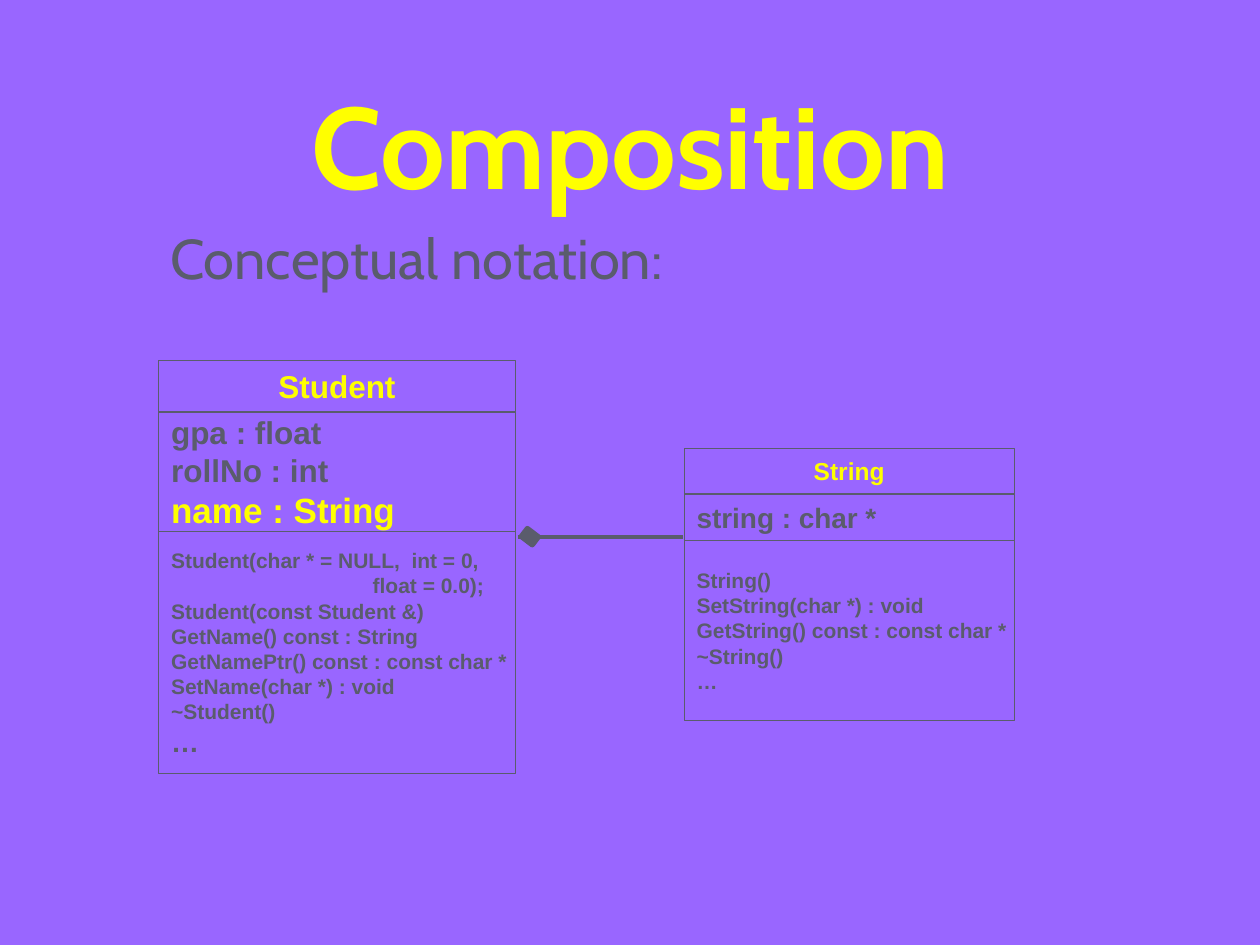
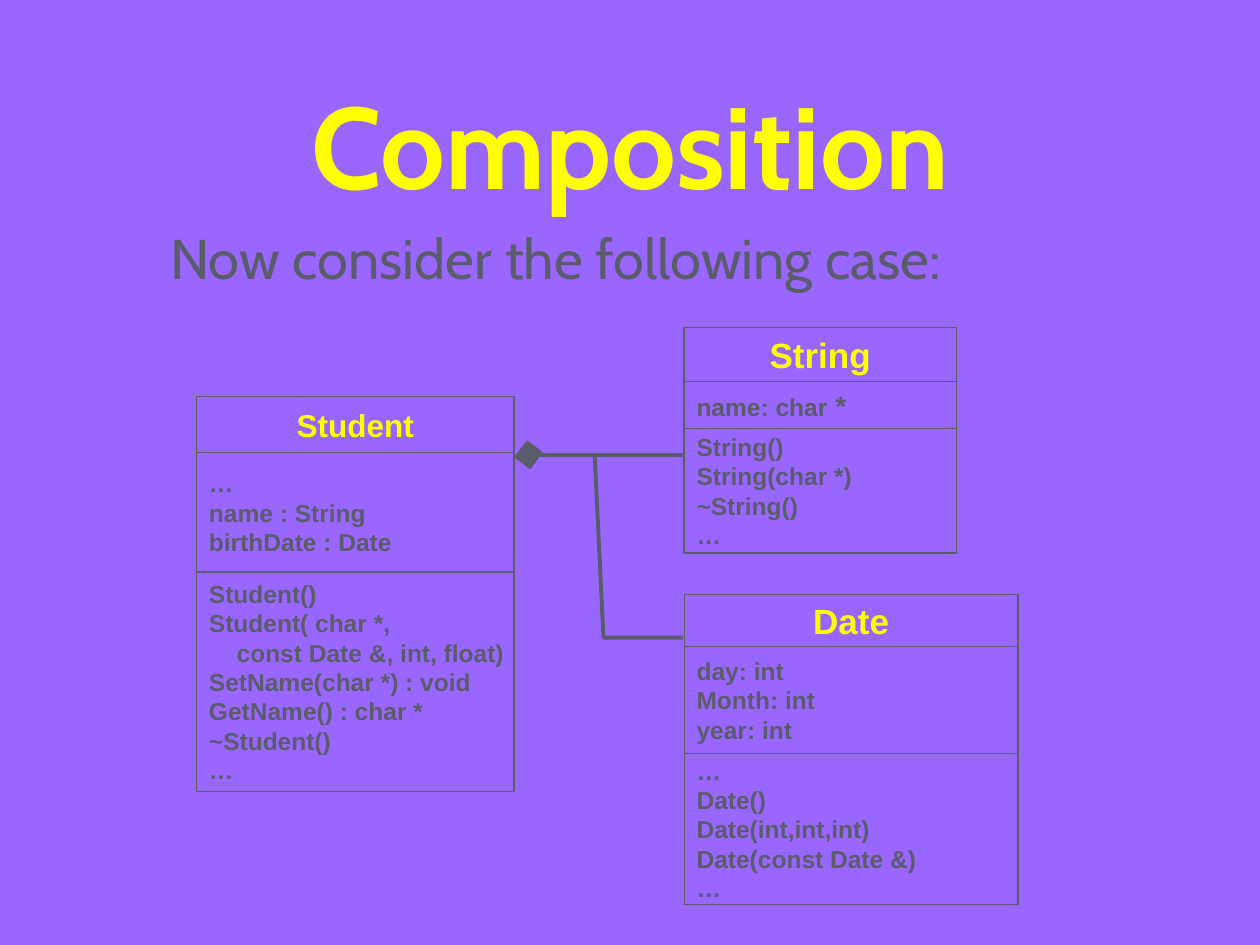
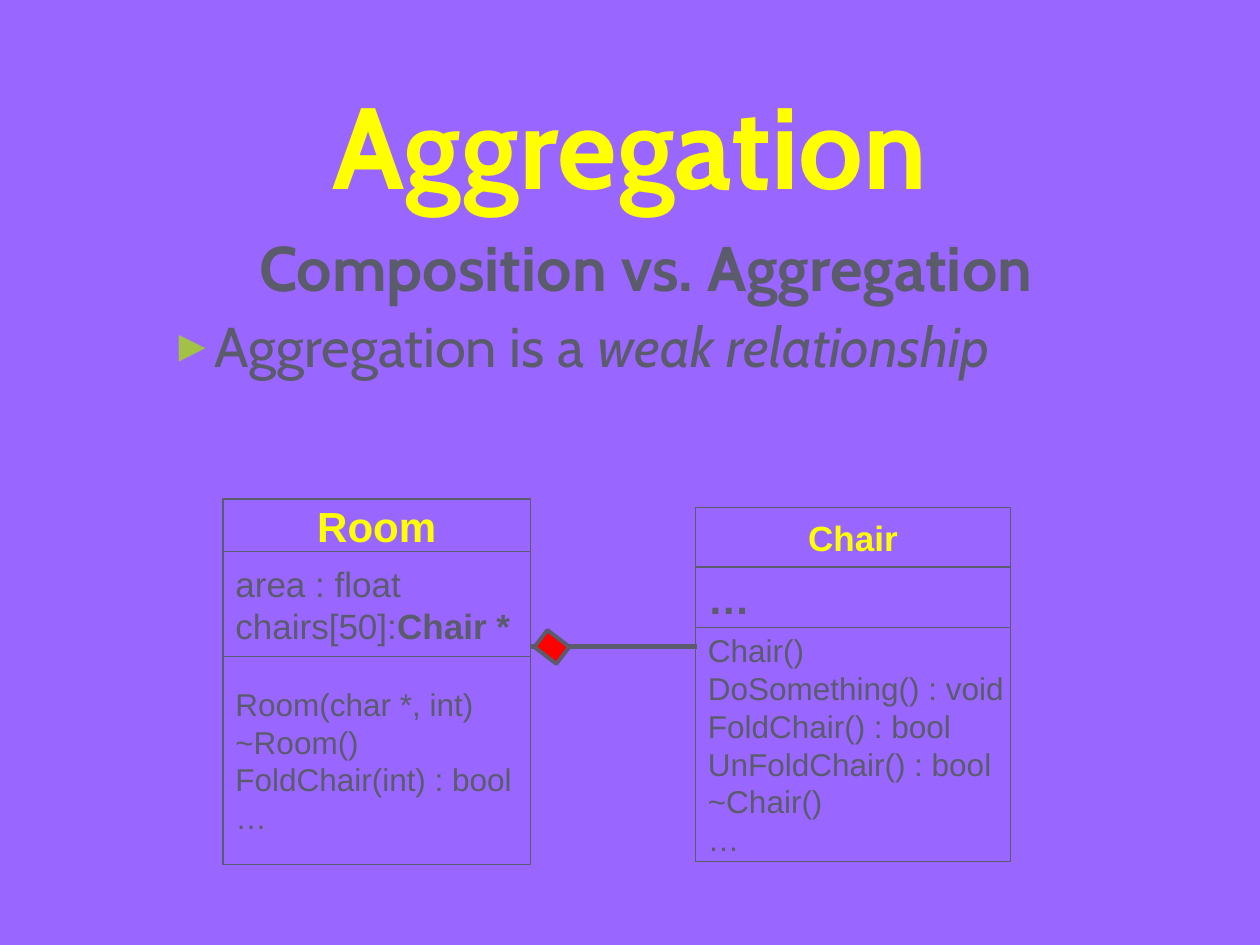
"""Build three slides of class diagrams on composition and aggregation."""
from lxml import etree
from pptx import Presentation
from pptx.dml.color import RGBColor
from pptx.enum.shapes import MSO_CONNECTOR, MSO_SHAPE
from pptx.enum.text import MSO_ANCHOR, MSO_AUTO_SIZE, PP_ALIGN
from pptx.oxml.ns import qn
from pptx.util import Inches, Pt

RECTANGLE = MSO_SHAPE.RECTANGLE
STRAIGHT = MSO_CONNECTOR.STRAIGHT
LEFT, CENTER = PP_ALIGN.LEFT, PP_ALIGN.CENTER
MIDDLE = MSO_ANCHOR.MIDDLE
NO_AUTOFIT = MSO_AUTO_SIZE.NONE

PURPLE, YELLOW, GRAY, RED, GREEN = "9966FF", "FFFF00", "5A5C6C", "FF0000", "A3C145"
HEADING_FONT, DIAGRAM_FONT = "Cabin", "Arial"
TITLE_BOX = (0.75, 0.33, 8.5, 1.61)
BODY_LEFT, BODY_TOP, BODY_WIDTH = 1.25, 1.83, 7.75
BULLET_INDENT = 0.34
DIAMOND_ANGLE = 37.3

TITLE_STYLE = {"name": HEADING_FONT, "size": 66, "bold": True, "color": YELLOW}
BODY_STYLE = {"name": HEADING_FONT, "size": 32, "bold": False, "color": GRAY}
CLASS_STYLE = {"name": DIAGRAM_FONT, "bold": True, "color": GRAY}

# A line is a string or a list of (text, changed style); a class lists its
# name, attributes and methods as (height, style, lines).
SLIDES = [
    {
        "title": "Composition",
        "body": {"height": 4.58, "spacing": 0.8, "lines": ["Conceptual notation:"]},
        "classes": [
            {"corner": (1.26, 2.86), "width": 2.83, "parts": [
                (0.41, {"size": 18}, ["Student"]),
                (0.95, {"size": 18}, [
                    "gpa : float", "rollNo : int",
                    [("name : String", {"size": 20, "color": YELLOW})]]),
                (1.92, {"size": 12}, [
                    "Student(char * = NULL,  int = 0,", "float = 0.0);",
                    "Student(const Student &)", "GetName() const : String",
                    "GetNamePtr() const : const char *", "SetName(char *) : void",
                    "~Student()", [("…", {"size": 16})]]),
            ], "indents": {"float = 0.0);": 1.6}},
            {"corner": (5.43, 3.56), "width": 2.62, "parts": [
                (0.36, {"size": 14}, ["String"]),
                (0.37, {"size": 16}, ["string : char *"]),
                (1.43, {"size": 12}, [
                    "String()", "SetString(char *) : void",
                    "GetString() const : const char *", "~String()", "…"]),
            ]},
        ],
        "link": {"start": 4.11, "end": 5.42, "y": 4.26, "weight": 2.25},
        "diamond": {"box": (4.15, 4.22, 0.11, 0.08), "fill": GRAY, "weight": 3},
    },
    {
        "title": "Composition",
        "body": {"height": 4.58, "spacing": 0.8,
                 "lines": ["Now consider the following case:"]},
        "classes": [
            {"corner": (5.43, 2.6), "width": 2.16, "parts": [
                (0.43, {"size": 20}, ["String"]),
                (0.37, {"size": 14}, [[("name: char", {}), (" *", {"size": 16})]]),
                (0.99, {"size": 14}, ["String()", "String(char *)", "~String()", "…"]),
            ]},
            {"corner": (1.56, 3.15), "width": 2.52, "parts": [
                (0.44, {"size": 18}, ["Student"]),
                (0.95, {"size": 14}, ["…", "name : String", "birthDate : Date"]),
                (1.74, {"size": 14}, [
                    "Student()", "Student( char *,", "const Date &, int, float)",
                    "SetName(char *) : void", "GetName() : char *", "~Student()", "…"]),
            ], "indents": {"const Date &, int, float)": 0.22}},
            {"corner": (5.43, 4.72), "width": 2.65, "parts": [
                (0.41, {"size": 20}, ["Date"]),
                (0.85, {"size": 14}, ["day: int", "Month: int", "year: int"]),
                (1.2, {"size": 14}, [
                    "…", "Date()", "Date(int,int,int)", "Date(const Date &)", "…"]),
            ]},
        ],
        "link": {"start": 4.11, "end": 5.42, "y": 3.61, "weight": 2.25},
        "branch": [(4.72, 3.62), (4.79, 5.06), (5.42, 5.06)],
        "diamond": {"box": (4.12, 3.53, 0.15, 0.16), "fill": GRAY, "weight": 0.75},
    },
    {
        "title": "Aggregation",
        "body": {"height": 5.39, "spacing": 0.9, "lines": [
            [("Composition vs. Aggregation", {"size": 36, "bold": True})],
            [("Aggregation is a ", {}), ("weak relationship", {"italic": True})]],
            "heading": True},
        "classes": [
            {"corner": (1.77, 3.96), "width": 2.44, "parts": [
                (0.42, {"size": 24}, ["Room"]),
                (0.83, {"size": 20, "bold": False}, [
                    "area : float", [("chairs[50]:", {}), ("Chair *", {"bold": True})]]),
                (1.65, {"size": 18, "bold": False}, [
                    "Room(char *, int)", "~Room()", "FoldChair(int) : bool", "…"]),
            ]},
            {"corner": (5.52, 4.03), "width": 2.5, "parts": [
                (0.47, {"size": 20}, ["Chair"]),
                (0.48, {"size": 24}, ["…"]),
                (1.86, {"size": 18, "bold": False}, [
                    "Chair()", "DoSomething() : void", "FoldChair() : bool",
                    "UnFoldChair() : bool", "~Chair()", "…"]),
            ]},
        ],
        "link": {"start": 4.21, "end": 5.53, "y": 5.13, "weight": 3},
        "diamond": {"box": (4.27, 5.05, 0.22, 0.17), "fill": RED, "weight": 2.25},
    },
]


def color(value):
    return RGBColor.from_string(value)


def set_line(shape, weight):
    shape.line.color.rgb = color(GRAY)
    shape.line.width = Pt(weight)


def place(shape, left, top, width, height):
    shape.left, shape.top = Inches(left), Inches(top)
    shape.width, shape.height = Inches(width), Inches(height)


def write_lines(text_frame, lines, style, alignment):
    for index, line in enumerate(lines):
        paragraph = text_frame.paragraphs[0] if index == 0 else text_frame.add_paragraph()
        paragraph.alignment = alignment
        paragraph.space_before = Pt(0)
        for text, changes in [(line, {})] if isinstance(line, str) else line:
            run = paragraph.add_run()
            run.text = text
            look = {**style, **changes}
            run.font.name = look["name"]
            run.font.size = Pt(look["size"])
            run.font.bold = look["bold"]
            run.font.italic = look.get("italic", False)
            run.font.color.rgb = color(look["color"])


def set_indent(paragraph, left, first=0.0):
    properties = paragraph._p.get_or_add_pPr()
    properties.set("marL", str(Inches(left)))
    properties.set("indent", str(Inches(first)))
    return properties


def add_bullet(paragraph):
    properties = set_indent(paragraph, BULLET_INDENT, -BULLET_INDENT)
    bullet_color = etree.SubElement(properties, qn("a:buClr"))
    etree.SubElement(bullet_color, qn("a:srgbClr"), val=GREEN)
    etree.SubElement(properties, qn("a:buSzPct"), val="80000")
    etree.SubElement(properties, qn("a:buFont"), typeface=DIAGRAM_FONT)
    etree.SubElement(properties, qn("a:buChar"), char="►")


def add_title(slide, text):
    title = slide.shapes.title
    place(title, *TITLE_BOX)
    title.text_frame.auto_size = NO_AUTOFIT
    title.text_frame.vertical_anchor = MIDDLE
    write_lines(title.text_frame, [text], TITLE_STYLE, CENTER)


def add_body(slide, body):
    placeholder = slide.placeholders[1]
    place(placeholder, BODY_LEFT, BODY_TOP, BODY_WIDTH, body["height"])
    text_frame = placeholder.text_frame
    text_frame.auto_size = NO_AUTOFIT
    write_lines(text_frame, body["lines"], BODY_STYLE, LEFT)
    for paragraph in text_frame.paragraphs:
        paragraph.line_spacing = body["spacing"]
    if body.get("heading"):
        text_frame.paragraphs[0].alignment = CENTER
        for paragraph in text_frame.paragraphs[1:]:
            paragraph.space_before = Pt(8)
            add_bullet(paragraph)


def add_rectangle(slide, box, weight):
    rectangle = slide.shapes.add_shape(RECTANGLE, *map(Inches, box))
    rectangle.shadow.inherit = False
    rectangle.fill.background()
    set_line(rectangle, weight)
    return rectangle


def add_class(slide, diagram):
    left, top = diagram["corner"]
    indents = diagram.get("indents", {})
    for index, (height, style, lines) in enumerate(diagram["parts"]):
        part = add_rectangle(slide, (left, top, diagram["width"], height), 0.75)
        text_frame = part.text_frame
        text_frame.word_wrap = False
        text_frame.vertical_anchor = MIDDLE
        is_name = index == 0
        look = {**CLASS_STYLE, **style, "color": YELLOW if is_name else GRAY}
        write_lines(text_frame, lines, look, CENTER if is_name else LEFT)
        for paragraph in text_frame.paragraphs:
            if paragraph.text in indents:
                set_indent(paragraph, indents[paragraph.text])
        top += height


def add_link(slide, link):
    y = Inches(link["y"])
    connector = slide.shapes.add_connector(
        STRAIGHT, Inches(link["start"]), y, Inches(link["end"]), y)
    set_line(connector, link["weight"])
    etree.SubElement(connector._element.spPr, qn("a:effectLst"))


def add_branch(slide, points, weight):
    start, *others = [(Inches(x), Inches(y)) for x, y in points]
    builder = slide.shapes.build_freeform(*start)
    builder.add_line_segments(others, close=False)
    branch = builder.convert_to_shape()
    branch.shadow.inherit = False
    branch.fill.background()
    set_line(branch, weight)


def add_diamond(slide, diamond):
    shape = add_rectangle(slide, diamond["box"], diamond["weight"])
    shape.rotation = DIAMOND_ANGLE
    shape.fill.solid()
    shape.fill.fore_color.rgb = color(diamond["fill"])


def main():
    presentation = Presentation()
    presentation.slide_width, presentation.slide_height = Inches(10), Inches(7.5)
    background = presentation.slide_master.background.fill
    background.solid()
    background.fore_color.rgb = color(PURPLE)
    for content in SLIDES:
        slide = presentation.slides.add_slide(presentation.slide_layouts[0])
        add_title(slide, content["title"])
        add_body(slide, content["body"])
        for diagram in content["classes"]:
            add_class(slide, diagram)
        add_link(slide, content["link"])
        if "branch" in content:
            add_branch(slide, content["branch"], content["link"]["weight"])
        add_diamond(slide, content["diamond"])
    presentation.save("out.pptx")


if __name__ == "__main__":
    main()
